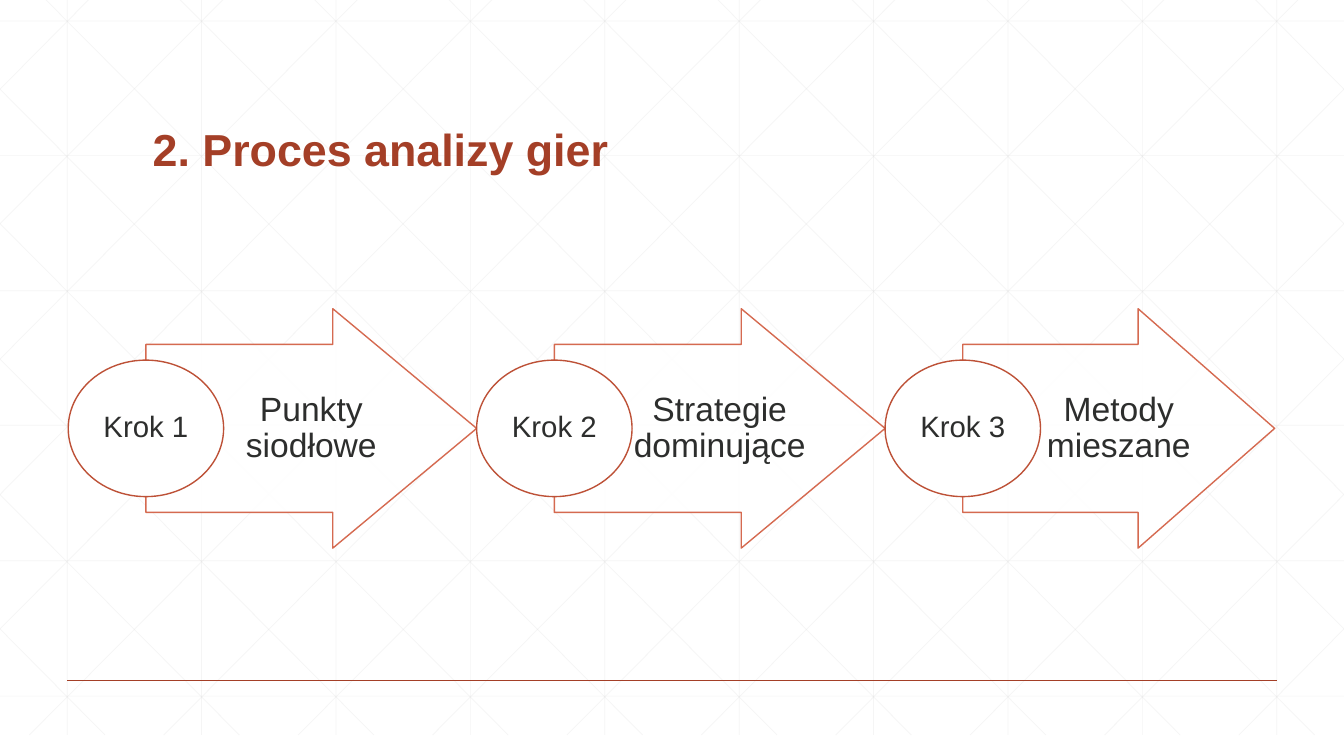
from pptx import Presentation
from pptx.dml.color import RGBColor
from pptx.enum.shapes import MSO_CONNECTOR, MSO_SHAPE
from pptx.enum.text import MSO_ANCHOR, PP_ALIGN
from pptx.oxml.ns import qn
from pptx.util import Pt
from lxml.etree import SubElement

PX = 9525  # EMU per px, 96 px to the inch
WIDTH, HEIGHT = 1280, 720
TOP, BOTTOM = -20, 700  # vertical reach of the grid
GAP = 128
RUN = 716  # sideways reach of a full diagonal

WHITE = RGBColor(0xFF, 0xFF, 0xFF)
GRID = RGBColor(0xD9, 0xD9, 0xD9)
RUST = RGBColor(0xA4, 0x3F, 0x27)
CORAL = RGBColor(0xD1, 0x5A, 0x3E)
BRICK = RGBColor(0xBD, 0x51, 0x37)
INK = RGBColor(0x2D, 0x2E, 0x2D)

STEP = 389  # distance between process steps
STEPS = [  # label, text, arrow width, shaft length
    ("Krok 1", "Punkty siodłowe", 315, 178),
    ("Krok 2", "Strategie dominujące", 315, 178),
    ("Krok 3", "Metody mieszane", 297, 167),
]


class Painter:
    font = "Arial"

    def __init__(self, slide):
        self.shapes = slide.shapes

    def fade(self, shape, percent):
        """Set the opacity of every colour of the shape."""
        for color in shape._element.spPr.iter(qn("a:srgbClr")):
            SubElement(color, qn("a:alpha")).set("val", str(percent * 1000))

    def line(self, x1, y1, x2, y2, color, width=1.0, opacity=100):
        line = self.shapes.add_connector(
            MSO_CONNECTOR.STRAIGHT, x1 * PX, y1 * PX, x2 * PX, y2 * PX)
        line.line.color.rgb = color
        line.line.width = Pt(width)
        if opacity < 100:
            self.fade(line, opacity)
        SubElement(line._element.spPr, qn("a:effectLst"))

    def label(self, shape, text, size, color, anchor=MSO_ANCHOR.MIDDLE,
              align=PP_ALIGN.CENTER, after=0, bold=False, pads=None):
        """Fill a shape with one paragraph; pads are (side, top and bottom)."""
        frame = shape.text_frame
        frame.word_wrap = True
        frame.vertical_anchor = anchor
        if pads:
            frame.margin_left = frame.margin_right = pads[0] * PX
            frame.margin_top = frame.margin_bottom = pads[1] * PX
        para = frame.paragraphs[0]
        para.text = text
        para.alignment = align
        para.line_spacing = 0.9
        para.space_after = Pt(after)
        para.font.name = self.font
        para.font.size = Pt(size)
        para.font.bold = bold
        para.font.color.rgb = color

    def paint(self, shape, color):
        shape.shadow.inherit = False
        shape.fill.solid()
        shape.fill.fore_color.rgb = WHITE
        shape.line.color.rgb = color
        shape.line.width = Pt(1)

    def title(self, x, y, w, h, text):
        box = self.shapes.add_textbox(x * PX, y * PX, w * PX, h * PX)
        self.label(box, text, 32, RUST, MSO_ANCHOR.BOTTOM, PP_ALIGN.LEFT, bold=True)

    def arrow(self, x, y, w, h, shaft, text):
        notch = 34
        build = self.shapes.build_freeform(x, y + notch, scale=PX)
        build.add_line_segments([
            (x + shaft, y + notch), (x + shaft, y), (x + w, y + h // 2),
            (x + shaft, y + h), (x + shaft, y + h - notch), (x, y + h - notch)])
        arrow = build.convert_to_shape()
        self.paint(arrow, CORAL)
        self.fade(arrow, 90)
        self.label(arrow, text, 24, INK, after=10, pads=(71, 36))

    def oval(self, x, y, w, h, text):
        oval = self.shapes.add_shape(MSO_SHAPE.OVAL, x * PX, y * PX, w * PX, h * PX)
        self.paint(oval, BRICK)
        self.label(oval, text, 21, INK, after=9, pads=(0, 0))

    def grid(self):
        """Draw uprights, levels and mirrored diagonals cut at the slide sides."""
        lines = [(x, TOP, x, BOTTOM) for x in range(64, WIDTH, GAP)]
        for i in range(6):
            y = 20 + 643 * i // 5
            lines.append((0, y, WIDTH, y))
        for x in range(24 - 5 * GAP, WIDTH, GAP):
            left, right = max(x, 0), min(x + RUN, WIDTH)
            y1, y2 = (TOP + round((end - x) * (BOTTOM - TOP) / RUN)
                      for end in (left, right))
            lines.append((left, y1, right, y2))
            lines.append((WIDTH - left, y1, WIDTH - right, y2))
        for ends in lines:
            self.line(*ends, GRID, 0.5, 25)


def main():
    deck = Presentation()
    deck.slide_width, deck.slide_height = WIDTH * PX, HEIGHT * PX
    pen = Painter(deck.slides.add_slide(deck.slide_layouts[6]))
    pen.grid()
    pen.line(64, 648, 1216, 648, RUST)
    pen.title(136, 53, 1008, 120, "2. Proces analizy gier")
    for i, (step, text, width, shaft) in enumerate(STEPS):
        x = 65 + i * STEP
        pen.arrow(x + 74, 294, width, 228, shaft, text)
        pen.oval(x, 343, 148, 130, step)
    deck.save("out.pptx")


if __name__ == "__main__":
    main()
